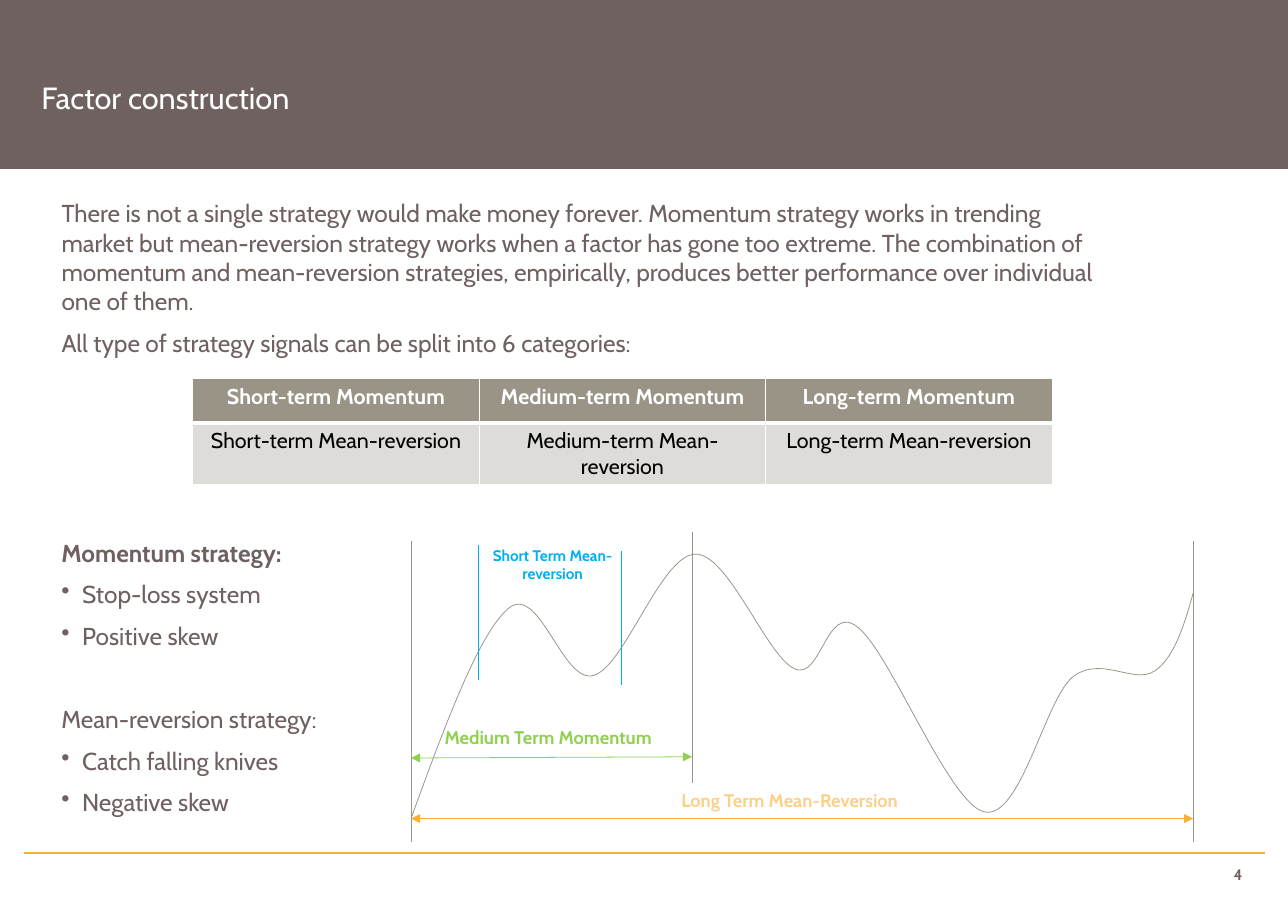
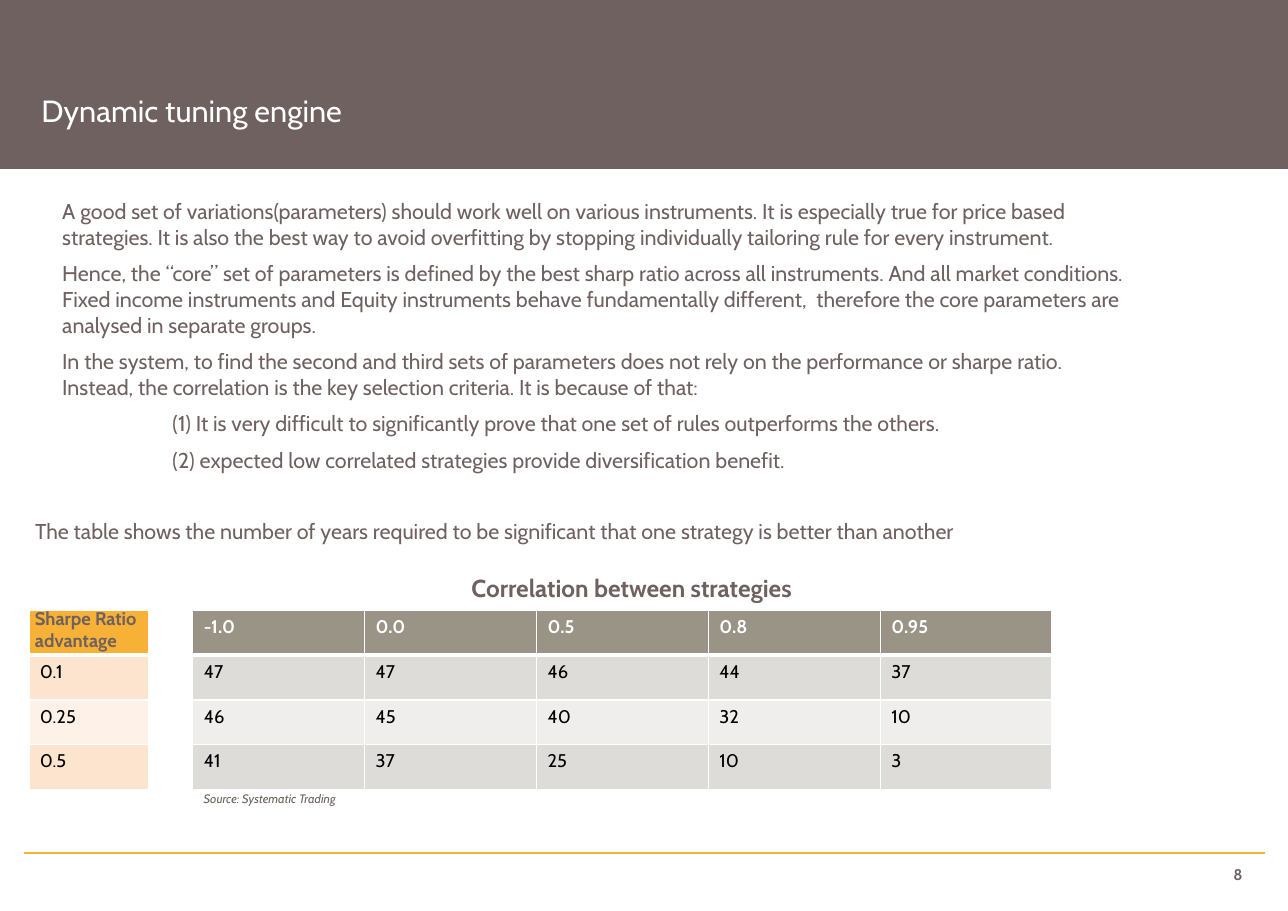
from dataclasses import dataclass

from lxml import etree
from pptx import Presentation
from pptx.dml.color import RGBColor
from pptx.enum.shapes import MSO_CONNECTOR as CONN, MSO_SHAPE as SHAPE
from pptx.enum.text import MSO_ANCHOR as ANCHOR, PP_ALIGN as ALIGN
from pptx.oxml.ns import qn
from pptx.util import Pt

# Shared look
FONT = "Cabin"
TAUPE = RGBColor(0x6E, 0x61, 0x5F)
ORANGE = RGBColor(0xF8, 0xB1, 0x37)
PALE_ORANGE = RGBColor(0xFB, 0xD0, 0x87)
STONE = RGBColor(0x9A, 0x94, 0x86)
GREEN = RGBColor(0x92, 0xD0, 0x50)
BLUE = RGBColor(0x00, 0xB0, 0xF0)
WHITE = RGBColor(0xFF, 0xFF, 0xFF)
BLACK = RGBColor(0, 0, 0)
GREY_BANDS = (RGBColor(0xDE, 0xDC, 0xD9), RGBColor(0xEF, 0xEE, 0xED))
PEACH_BANDS = (RGBColor(0xFC, 0xE4, 0xCE), RGBColor(0xFE, 0xF2, 0xE8))

WIDTH, HEIGHT = 841.7, 595.4
ROW_H = 29.2
TABLE_X, TABLE_W = 126, 561.6

# Chart guides: start, middle and end of the price curve
START_X, MID_X, END_X = 268.6, 452.2, 779.8
# Start point, then two control points and an end point per curve piece
CURVE = [
    (START_X, 535),
    (290.9, 473.8), (313.2, 413.3), (332.6, 397.4),
    (352.8, 381.6), (367.9, 447.8), (388.1, 441.4),
    (408.2, 435.6), (432, 362.9), (454.3, 362.2),
    (475.9, 361.4), (501.1, 429.1), (519.1, 437),
    (536.4, 445.7), (540, 393.8), (560.2, 409.7),
    (581, 424.8), (619.9, 524.9), (643, 530.6),
    (666.7, 536.4), (682.6, 458.6), (700.6, 442.8),
    (719.3, 427.7), (740.9, 447.8), (754.6, 438.5),
    (767.5, 429.8), (774, 408.2), (END_X, 387.4),
]


@dataclass
class Para:
    text: str
    bold: bool = False
    bullet: bool = False
    indent: float = 0
    before: float = 0


def add_run(p, text, size, color, bold=False, italic=False):
    r = p.add_run()
    r.text = text
    f = r.font
    f.name, f.size, f.bold, f.italic = FONT, Pt(size), bold, italic
    f.color.rgb = color


def set_indent(p, left, bullet):
    pPr = p._p.get_or_add_pPr()
    pPr.set("marL", str(Pt(left)))
    pPr.set("indent", str(-Pt(left) if bullet else 0))
    if bullet:
        etree.SubElement(pPr, qn("a:buChar")).set("char", "•")


def add_text(slide, box, paras, size, color=TAUPE, bold=False, italic=False,
             align=ALIGN.LEFT, anchor=ANCHOR.TOP, inset=(7.2, 3.6)):
    """Text box; paragraphs after the first stand half a line apart."""
    tf = slide.shapes.add_textbox(*map(Pt, box)).text_frame
    tf.word_wrap = True
    tf.vertical_anchor = anchor
    tf.margin_left = tf.margin_right = Pt(inset[0])
    tf.margin_top = tf.margin_bottom = Pt(inset[1])
    for i, item in enumerate(paras):
        para = item if isinstance(item, Para) else Para(item)
        p = tf.add_paragraph() if i else tf.paragraphs[0]
        p.alignment = align
        p.space_before = Pt(para.before or size / 2) if i else Pt(0)
        if para.indent:
            set_indent(p, para.indent, para.bullet)
        add_run(p, para.text, size, color, bold or para.bold, italic)


def add_line(slide, x1, y1, x2, y2, color, width=0.5, arrows=False):
    sp = slide.shapes.add_connector(CONN.STRAIGHT, *map(Pt, (x1, y1, x2, y2)))
    sp.line.color.rgb = color
    sp.line.width = Pt(width)
    if arrows:
        ln = sp.line._get_or_add_ln()
        for end in ("a:headEnd", "a:tailEnd"):
            etree.SubElement(ln, qn(end)).set("type", "triangle")
    etree.SubElement(sp._element.spPr, qn("a:effectLst"))


def add_curve(slide, points, color):
    """Open Bezier curve: each three segments become one cubic piece."""
    pts = [(Pt(x), Pt(y)) for x, y in points]
    fb = slide.shapes.build_freeform(*pts[0])
    fb.add_line_segments(pts[1:], close=False)
    sp = fb.convert_to_shape()
    sp.shadow.inherit = False
    sp.fill.background()
    sp.line.color.rgb = color
    sp.line.width = Pt(0.5)
    segs = list(sp._element.iter(qn("a:lnTo")))
    for i in range(0, len(segs), 3):
        cubic = etree.Element(qn("a:cubicBezTo"))
        segs[i].addprevious(cubic)
        for seg in segs[i:i + 3]:
            cubic.append(seg[0])
            seg.getparent().remove(seg)


def set_borders(cell, top, bottom):
    tcPr = cell._tc.get_or_add_tcPr()
    for tag, width in (("L", 1), ("R", 1), ("T", top), ("B", bottom)):
        ln = etree.SubElement(tcPr, qn("a:ln" + tag), w=str(Pt(width)))
        fill = etree.SubElement(ln, qn("a:solidFill"))
        etree.SubElement(fill, qn("a:srgbClr"), val=str(WHITE))


def add_grid(slide, x, y, w, rows, size, head_fill=STONE, bands=GREY_BANDS,
             align=ALIGN.LEFT):
    """Table with a header row, banded body and white rules."""
    n_rows, n_cols = len(rows), len(rows[0])
    box = map(Pt, (x, y, w, ROW_H * n_rows))
    table = slide.shapes.add_table(n_rows, n_cols, *box).table
    table.first_row = table.horz_banding = False
    for col in table.columns:
        col.width = Pt(w / n_cols)
    for i, row in enumerate(rows):
        table.rows[i].height = Pt(ROW_H)
        for j, text in enumerate(row):
            cell = table.cell(i, j)
            set_borders(cell, 3 if i == 1 else 1, 3 if i == 0 else 1)
            cell.fill.solid()
            cell.fill.fore_color.rgb = bands[(i - 1) % 2] if i else head_fill
            p = cell.text_frame.paragraphs[0]
            p.alignment = align
            if text:
                add_run(p, text, size, BLACK if i else WHITE, bold=i == 0)


def add_slide(prs, title, title_y, number):
    """Blank slide with title band, footer rule and page number."""
    slide = prs.slides.add_slide(prs.slide_layouts[6])
    band = slide.shapes.add_shape(SHAPE.RECTANGLE, 0, 0, Pt(WIDTH), Pt(110.4))
    band.shadow.inherit = False
    band.fill.solid()
    band.fill.fore_color.rgb = band.line.color.rgb = TAUPE
    band.line.width = Pt(0.75)
    add_line(slide, 15.8, 557.3, 826.6, 557.3, ORANGE, 1.25)
    add_text(slide, (787, 565.2, 25, 12.2), [number], 10, bold=True,
             align=ALIGN.RIGHT, inset=(0, 0))
    add_text(slide, (20, title_y, 760, 36), [title], 20, WHITE,
             anchor=ANCHOR.MIDDLE)
    return slide


def build_factor_slide(prs):
    slide = add_slide(prs, "Factor construction", 45.8, "4")
    add_text(slide, (33.1, 126, 697, 120), [
        "There is not a single strategy would make money forever. Momentum "
        "strategy works in trending market but mean-reversion strategy works "
        "when a factor has gone too extreme. The combination of momentum and "
        "mean-reversion strategies, empirically, produces better performance "
        "over individual one of them.",
        "All type of strategy signals can be split into 6 categories:",
    ], 16)
    terms = ("Short-term", "Medium-term", "Long-term")
    add_grid(slide, TABLE_X, 247, TABLE_W,
             [[f"{term} {kind}" for term in terms]
              for kind in ("Momentum", "Mean-reversion")],
             14, align=ALIGN.CENTER)

    # Strategy traits
    add_text(slide, (33.1, 348, 205, 200), [
        Para("Momentum strategy:", bold=True),
        Para("Stop-loss system", bullet=True, indent=13.5),
        Para("Positive skew", bullet=True, indent=13.5),
        Para("Mean-reversion strategy:", before=35),
        Para("Catch falling knives", bullet=True, indent=13.5),
        Para("Negative skew", bullet=True, indent=13.5),
    ], 16)

    # Price curve with its time spans
    add_curve(slide, CURVE, STONE)
    for x, top, bottom, color in (
            (START_X, 353.5, 550, STONE), (MID_X, 347.8, 512, STONE),
            (END_X, 353.5, 550, STONE), (312.5, 356.4, 444.2, BLUE),
            (406.4, 360, 447.8, BLUE)):
        add_line(slide, x, top, x, bottom, color)
    add_line(slide, START_X, 535, END_X, 535, ORANGE, arrows=True)
    add_line(slide, START_X, 495.4, MID_X, 494.6, GREEN, arrows=True)
    add_text(slide, (438.2, 512, 172, 21.6), ["Long Term Mean-Reversion"],
             12, PALE_ORANGE, bold=True)
    add_text(slide, (283.5, 471, 165.6, 21.6), ["Medium Term Momentum"],
             12, GREEN, bold=True)
    add_text(slide, (314, 353.5, 94.3, 31), ["Short Term Mean-reversion"],
             10, BLUE, bold=True, align=ALIGN.CENTER)


def build_tuning_slide(prs):
    slide = add_slide(prs, "Dynamic tuning engine", 54.2, "8")
    add_text(slide, (33.6, 126, 716, 190), [
        "A good set of variations(parameters) should work well on various "
        "instruments. It is especially true for price based strategies. It is "
        "also the best way to avoid overfitting by stopping individually "
        "tailoring rule for every instrument.",
        "Hence, the “core” set of parameters is defined by the best sharp "
        "ratio across all instruments. And all market conditions. Fixed "
        "income instruments and Equity instruments behave fundamentally "
        "different,  therefore the core parameters are analysed in separate "
        "groups.",
        "In the system, to find the second and third sets of parameters does "
        "not rely on the performance or sharpe ratio. Instead, the "
        "correlation is the key selection criteria. It is because of that:",
        Para("(1) It is very difficult to significantly prove that one set of "
             "rules outperforms the others.", indent=72),
        Para("(2) expected low correlated strategies provide diversification "
             "benefit.", indent=72),
    ], 14)
    add_text(slide, (15.8, 334.8, 660, 24.5), [
        "The table shows the number of years required to be significant that "
        "one strategy is better than another"], 14)

    # Years needed, by Sharpe ratio advantage and correlation
    table_y = 399
    add_text(slide, (301, 371, 300, 26.6), ["Correlation between strategies"],
             16, bold=True)
    add_grid(slide, TABLE_X, table_y, TABLE_W, [
        ("-1.0", "0.0", "0.5", "0.8", "0.95"),
        ("47", "47", "46", "44", "37"),
        ("46", "45", "40", "32", "10"),
        ("41", "37", "25", "10", "3"),
    ], 12)
    add_grid(slide, 18.9, table_y, 78.3, [("",), ("0.1",), ("0.25",), ("0.5",)],
             12, ORANGE, PEACH_BANDS)
    add_text(slide, (15.8, 393.1, 105, 36), ["Sharpe Ratio advantage"], 12,
             bold=True)
    add_text(slide, (TABLE_X, 513.4, 585, 17.3), ["Source: Systematic Trading"],
             8, italic=True)


def main():
    prs = Presentation()
    prs.slide_width, prs.slide_height = Pt(WIDTH), Pt(HEIGHT)
    build_factor_slide(prs)
    build_tuning_slide(prs)
    prs.save("out.pptx")


if __name__ == "__main__":
    main()
